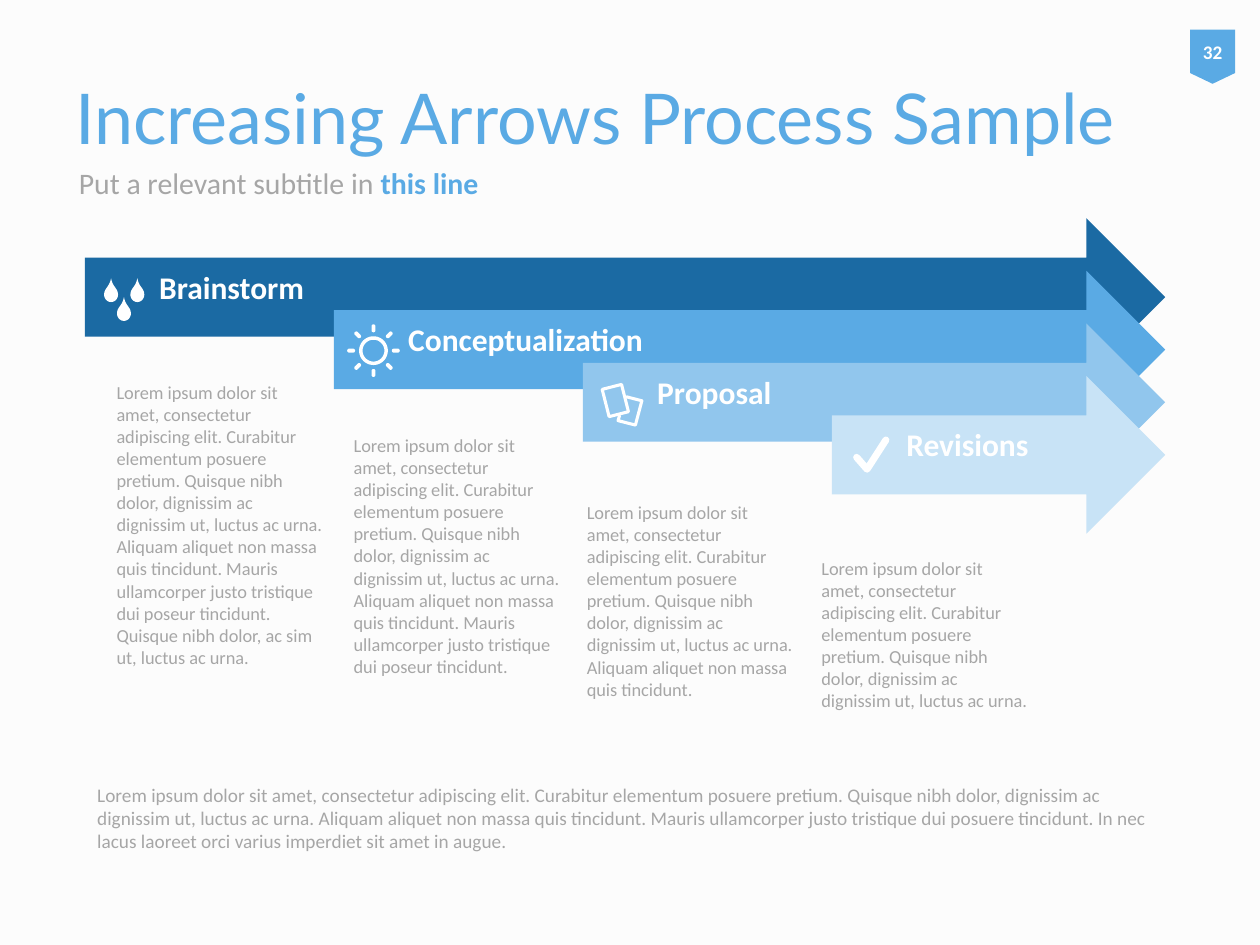
import math

from lxml import etree
from pptx import Presentation
from pptx.dml.color import RGBColor
from pptx.enum.shapes import MSO_SHAPE
from pptx.enum.text import MSO_ANCHOR, MSO_AUTO_SIZE, PP_ALIGN
from pptx.oxml.ns import qn
from pptx.util import Cm, Pt

ARROW, BADGE = MSO_SHAPE.RIGHT_ARROW, MSO_SHAPE.FLOWCHART_OFFPAGE_CONNECTOR
TOP, MIDDLE = MSO_ANCHOR.TOP, MSO_ANCHOR.MIDDLE
LEFT, CENTER = PP_ALIGN.LEFT, PP_ALIGN.CENTER

# Theme
BLUE, GREY, WHITE, PAPER = "5AAAE4", "A6A6A6", "FFFFFF", "FCFCFC"
THEME = {
    "title": {"name": "Lato", "size": 40, "color": BLUE},
    "subtitle": {"name": "Calibri", "size": 17, "color": GREY},
    "accent": {"name": "Calibri", "size": 17, "color": BLUE, "bold": True},
    "label": {"name": "Calibri", "size": 18, "color": WHITE, "bold": True},
    "body": {"name": "Calibri", "size": 10.5, "color": GREY},
    "footer": {"name": "Calibri", "size": 11, "color": GREY},
    "badge": {"name": "Calibri", "size": 11, "color": WHITE, "bold": True},
}

# Content
TITLE = "Increasing Arrows Process Sample"
SUBTITLE = [("Put a relevant subtitle in ", "subtitle"), ("this line", "accent")]
NUMBER = "32"
LOREM = ("Lorem ipsum dolor sit amet, consectetur adipiscing elit. Curabitur "
         "elementum posuere pretium. Quisque nibh dolor, dignissim ac "
         "dignissim ut, luctus ac urna.")
ALIQUAM = "Aliquam aliquet non massa quis tincidunt."
MAURIS = "Mauris ullamcorper justo tristique dui poseur tincidunt."
FOOTER = [LOREM, ALIQUAM,
          "Mauris ullamcorper justo tristique dui posuere tincidunt.",
          "In nec lacus laoreet orci varius imperdiet sit amet in augue."]
# label, arrow colour, sentences, text box (left, top, height) in cm
STEPS = [
    ("Brainstorm", "1B6AA3",
     [LOREM, ALIQUAM, MAURIS, "Quisque nibh dolor, ac sim ut, luctus ac urna."],
     (2.1, 7.56, 6.63)),
    ("Conceptualization", BLUE, [LOREM, ALIQUAM, MAURIS], (6.88, 8.63, 5.74)),
    ("Proposal", "91C6ED", [LOREM, ALIQUAM], (11.58, 9.98, 4.29)),
    ("Revisions", "C8E3F6", [LOREM], (16.31, 11.1, 3.94)),
]

# Layout in cm
ARROW_LEFT, ARROW_TOP, ARROW_RIGHT, ARROW_H = 1.71, 4.4, 23.49, 3.18
STEP_X, STEP_Y = 5.02, 1.06
LABEL_RIGHT, BODY_W = 22.69, 4.65
LABEL_INSETS = (1.5, 0.18, 0.71, 0.51)
BOX_INSETS = (0.25, 0.13, 0.25, 0.13)

# Icon geometry in cm
DROP_TIPS = [(2.24, 5.61), (2.77, 5.61), (2.5, 5.99)]
DROP_CURVES = [((0, 0), (0.03, 0.18), (0.14, 0.2), (0.14, 0.33)),
               ((0.14, 0.33), (0.14, 0.41), (0.08, 0.48), (0, 0.48))]
SUN, SUN_RADII, RAY_R, RAY_CAP = (7.53, 7.07), (0.29, 0.22), 0.45, 0.04
FRONT_PAGE = [(12.14, 7.85), (12.53, 7.75), (12.67, 8.3), (12.28, 8.4)]
BACK_PAGE = [(12.63, 8), (12.94, 8.08), (12.81, 8.57), (12.46, 8.48), (12.49, 8.38)]
CHECK = [(17.27, 9.22), (17.48, 9.46), (17.86, 8.87)]


def rgb(value):
    return RGBColor.from_string(value)


def write(sp, runs, anchor=TOP, align=LEFT, insets=BOX_INSETS, spacing=None):
    tf = sp.text_frame
    sides = ("margin_left", "margin_top", "margin_right", "margin_bottom")
    settings = {"word_wrap": True, "auto_size": MSO_AUTO_SIZE.NONE,
                "vertical_anchor": anchor, **dict(zip(sides, map(Cm, insets)))}
    for name, value in settings.items():
        setattr(tf, name, value)
    p = tf.paragraphs[0]
    p.alignment, p.line_spacing = align, spacing
    for text, style in runs:
        r = p.add_run()
        r.text = text
        for name, value in THEME[style].items():
            if name == "color":
                r.font.color.rgb = rgb(value)
            else:
                setattr(r.font, name, Pt(value) if name == "size" else value)


def add_text(s, box, runs, **options):
    write(s.shapes.add_textbox(*map(Cm, box)), runs, **options)


def paint(sp, color):
    sp.shadow.inherit = False
    sp.fill.solid()
    sp.fill.fore_color.rgb = rgb(color)
    sp.line.fill.background()
    return sp


def add_block(s, kind, box, color):
    return paint(s.shapes.add_shape(kind, *map(Cm, box)), color)


def add_outline(s, contours, close=True):
    contours = [[(Cm(x), Cm(y)) for x, y in points] for points in contours]
    builder = s.shapes.build_freeform(*contours[0][0])
    for i, points in enumerate(contours):
        if i:
            builder.move_to(*points[0])
        builder.add_line_segments(points[1:], close=close)
    return builder.convert_to_shape()


def add_stroke(s, points, width, close=False):
    sp = add_outline(s, [points], close)
    sp.shadow.inherit = False
    sp.fill.background()
    sp.line.color.rgb = rgb(WHITE)
    sp.line.width = Pt(width)
    ln = sp.line._get_or_add_ln()
    ln.set("cap", "rnd")
    etree.SubElement(ln, qn("a:round"))


def bezier(a, b, c, d, steps=10):
    for i in range(steps + 1):
        t = i / steps
        u = 1 - t
        yield tuple(u**3 * p + 3 * u * u * t * q + 3 * u * t * t * v + t**3 * w
                    for p, q, v, w in zip(a, b, c, d))


def circle(radius, steps=48):
    angles = [2 * math.pi * i / steps for i in range(steps)]
    return [(radius * math.cos(a), radius * math.sin(a)) for a in angles]


def add_drops(s):
    right = [pt for curve in DROP_CURVES for pt in bezier(*curve)]
    profile = right + [(-x, y) for x, y in reversed(right)]
    paint(add_outline(s, [[(tip_x + x, tip_y + y) for x, y in profile]
                          for tip_x, tip_y in DROP_TIPS]), WHITE)


def add_sun(s):
    outer, inner = map(circle, SUN_RADII)
    contours = [outer, inner[::-1]]
    ray = [(RAY_R + x + math.copysign(RAY_CAP, x), y) for x, y in circle(RAY_CAP, 18)]
    for i in range(8):
        cos, sin = math.cos(i * math.pi / 4), math.sin(i * math.pi / 4)
        contours.append([(x * cos - y * sin, x * sin + y * cos) for x, y in ray])
    paint(add_outline(s, [[(SUN[0] + x, SUN[1] + y) for x, y in points]
                          for points in contours]), WHITE)


def main():
    prs = Presentation()
    prs.slide_width, prs.slide_height = Cm(25.4), Cm(19.05)
    s = prs.slides.add_slide(prs.slide_layouts[5])
    s.background.fill.solid()
    s.background.fill.fore_color.rgb = rgb(PAPER)

    # Heading
    title = s.shapes.title
    title.left, title.top, title.width, title.height = map(Cm, (1.27, 0.76, 22.43, 3.18))
    write(title, [(TITLE, "title")], anchor=MIDDLE)
    add_text(s, (1.34, 3, 20.96, 1.35), SUBTITLE, anchor=MIDDLE)

    # Arrows, each with its label and description
    for i, (label, color, sentences, (left, top, height)) in enumerate(STEPS):
        x, y = ARROW_LEFT + i * STEP_X, ARROW_TOP + i * STEP_Y
        add_block(s, ARROW, (x, y, ARROW_RIGHT - x, ARROW_H), color)
        add_text(s, (x, y + ARROW_H / 4, LABEL_RIGHT - x, ARROW_H / 2),
                 [(label, "label")], anchor=MIDDLE, insets=LABEL_INSETS, spacing=0.9)
        add_text(s, (left, top, BODY_W, height), [(" ".join(sentences), "body")])

    # Icons
    add_drops(s)
    add_sun(s)
    add_stroke(s, FRONT_PAGE, 1.75, close=True)
    add_stroke(s, BACK_PAGE, 1.75)
    add_stroke(s, CHECK, 4)

    # Page badge and footer
    badge = add_block(s, BADGE, (23.99, 0.6, 0.91, 1.09), BLUE)
    write(badge, [(NUMBER, "badge")], anchor=MIDDLE, align=CENTER, insets=(0, 0, 0, 0))
    add_text(s, (1.71, 15.66, 22.2, 2.26), [(" ".join(FOOTER), "footer")])

    prs.save("out.pptx")


if __name__ == "__main__":
    main()
